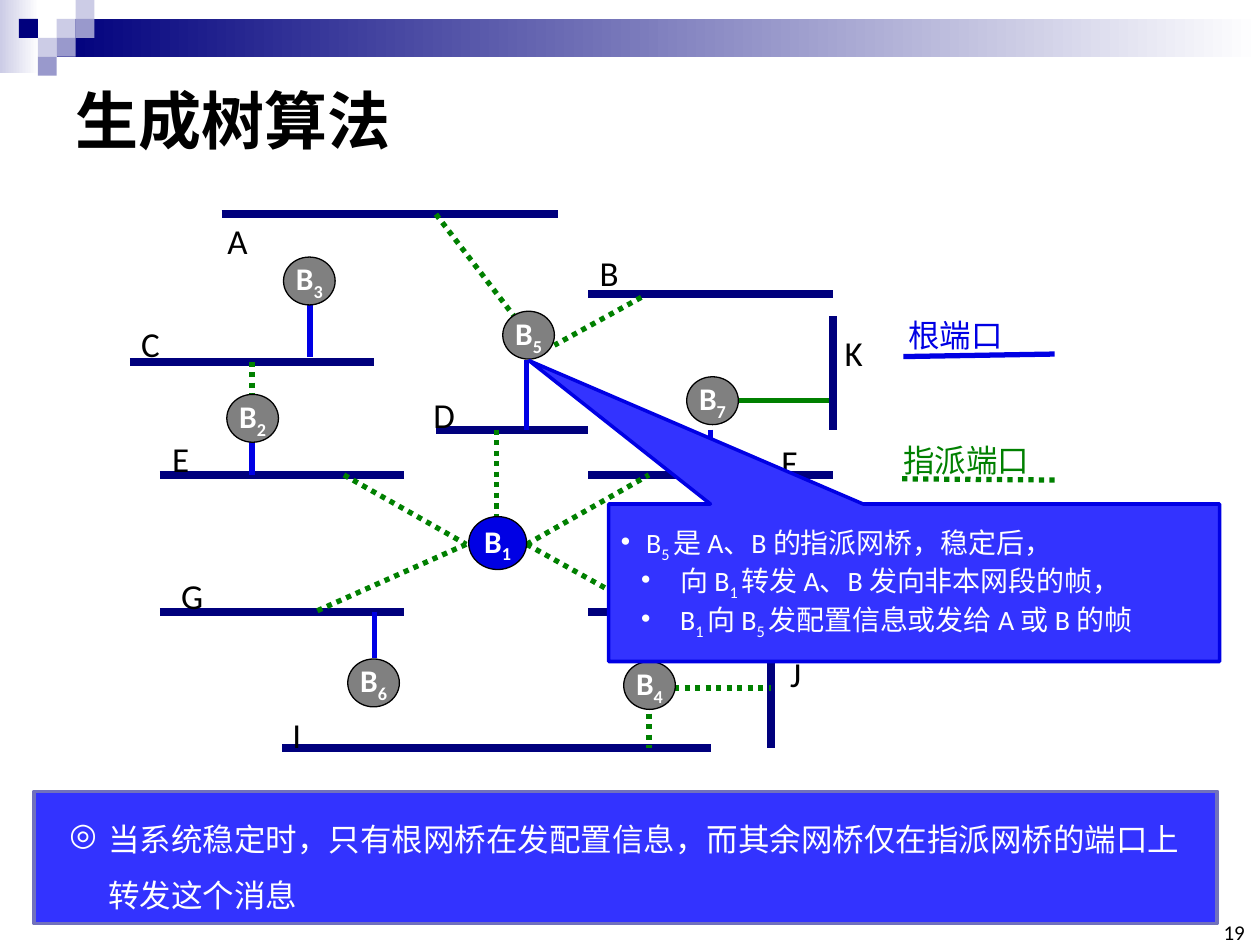
import dataclasses

import lxml.etree
import pptx
import pptx.dml.color
import pptx.enum.dml
import pptx.enum.shapes
import pptx.enum.text
import pptx.oxml.ns
import pptx.util

Inches = pptx.util.Inches
Pt = pptx.util.Pt
qn = pptx.oxml.ns.qn
Shape = pptx.enum.shapes.MSO_SHAPE
Align = pptx.enum.text.PP_ALIGN
Anchor = pptx.enum.text.MSO_ANCHOR
DOTTED = pptx.enum.dml.MSO_LINE.ROUND_DOT


@dataclasses.dataclass(frozen=True)
class Theme:
    latin: str = "Calibri"
    chinese: str = "Noto Sans CJK SC"
    black: str = "000000"
    white: str = "FFFFFF"
    navy: str = "00007D"
    lavender: str = "CCCCE6"
    violet: str = "9999CC"
    root: str = "0000E4"
    designated: str = "008000"
    bridge: str = "808080"
    panel: str = "3333FF"
    panel_edge: str = "7171BD"
    title_size: int = 36
    label_size: int = 20
    body_size: int = 18
    callout_size: int = 16
    number_size: int = 12


def rgb(color):
    return pptx.dml.color.RGBColor.from_string(color)


def apply(target, values):
    for name, value in values.items():
        setattr(target, name, value)


class SlideBuilder:
    def __init__(self, slide, theme):
        self.slide = slide
        self.theme = theme

    def shape(self, kind, box, fill, line=None, width=1):
        """Fill is one colour, or a pair of colours for a left-to-right gradient."""
        shape = self.slide.shapes.add_shape(kind, *map(Inches, box))
        shape.shadow.inherit = False
        if isinstance(fill, tuple):
            shape.fill.gradient()
            shape.fill.gradient_angle = 0
            for stop, color in zip(shape.fill.gradient_stops, fill):
                stop.color.rgb = rgb(color)
        else:
            shape.fill.solid()
            shape.fill.fore_color.rgb = rgb(fill)
        if line:
            shape.line.color.rgb = rgb(line)
            shape.line.width = Pt(width)
        else:
            shape.line.fill.background()
        return shape

    def line(self, start, end, color, width=3, dash=None):
        connector = self.slide.shapes.add_connector(
            pptx.enum.shapes.MSO_CONNECTOR.STRAIGHT, *map(Inches, start + end))
        connector.line.color.rgb = rgb(color)
        apply(connector.line, {"width": Pt(width), "dash_style": dash})
        lxml.etree.SubElement(connector._element.spPr, qn("a:effectLst"))

    def frame(self, shape, anchor=Anchor.MIDDLE, insets=(0.1, 0.05, 0.1, 0.05), wrap=True):
        sides = ("margin_left", "margin_top", "margin_right", "margin_bottom")
        apply(shape.text_frame, {"word_wrap": wrap, "vertical_anchor": anchor,
                                 **dict(zip(sides, map(Inches, insets)))})
        return shape.text_frame

    def add_words(self, paragraph, text, size, color, bold=False, **formats):
        """Fill a paragraph with text whose parts between underscores are subscripts."""
        apply(paragraph, {"alignment": Align.LEFT, **formats})
        for index, part in enumerate(text.split("_")):
            if not part:
                continue
            run = paragraph.add_run()
            run.text = part
            apply(run.font, {"name": self.theme.latin, "size": Pt(size), "bold": bold})
            run.font.color.rgb = rgb(color)
            properties = run._r.get_or_add_rPr()
            lxml.etree.SubElement(properties, qn("a:ea"), typeface=self.theme.chinese)
            if index % 2:
                properties.set("baseline", "-25000")

    def bullet(self, paragraph, mark, left, hanging):
        properties = paragraph._p.get_or_add_pPr()
        properties.set("marL", str(Inches(left)))
        properties.set("indent", str(-Inches(hanging)))
        lxml.etree.SubElement(properties, qn("a:buChar"), char=mark)

    def text(self, box, text, size, color, anchor=Anchor.TOP, insets=(0.1, 0.05, 0.1, 0.05),
             **formats):
        text_box = self.slide.shapes.add_textbox(*map(Inches, box))
        frame = self.frame(text_box, anchor, insets)
        self.add_words(frame.paragraphs[0], text, size, color, **formats)

    def bridge(self, number, left, top, width=0.41, height=0.38, fill=None):
        theme = self.theme
        oval = self.shape(Shape.OVAL, (left, top, width, height), fill or theme.bridge,
                          theme.black, 0.75)
        frame = self.frame(oval, insets=(0, 0, 0, 0), wrap=False)
        self.add_words(frame.paragraphs[0], f"B_{number}_", theme.body_size, theme.white,
                       bold=True, alignment=Align.CENTER)


def draw_header(builder):
    theme = builder.theme
    builder.shape(Shape.RECTANGLE, (0, 0, 0.31, 0.58), (theme.lavender, theme.white))
    builder.shape(Shape.RECTANGLE, (0.45, 0.15, 9.55, 0.3), (theme.navy, theme.white))
    tile = 0.15
    for column, row, color in [(3, 1, theme.lavender), (4, 0, theme.lavender),
                               (4, 1, theme.violet), (2, 2, theme.lavender),
                               (1, 1, theme.navy), (3, 2, theme.violet),
                               (2, 3, theme.violet)]:
        builder.shape(Shape.RECTANGLE, (column * tile, row * tile, tile, tile), color)
    builder.text((0.5, 0.5, 9, 0.89), "生成树算法", theme.title_size, theme.black,
                 anchor=Anchor.MIDDLE, bold=True)
    builder.text((9.65, 7.33, 0.23, 0.17), "19", theme.number_size, theme.black,
                 anchor=Anchor.BOTTOM, insets=(0, 0, 0, 0), alignment=Align.RIGHT)


def draw_network(builder):
    theme = builder.theme
    horizontal = [(1.76, 4.43, 1.7), (4.67, 6.61, 2.33), (1.03, 2.97, 2.87),
                  (3.46, 4.67, 3.41), (4.67, 6.61, 3.77), (1.27, 3.21, 3.77),
                  (1.27, 3.21, 4.86), (4.67, 6.61, 4.86), (2.24, 5.64, 5.94)]
    for left, right, y in horizontal:
        builder.line((left, y), (right, y), theme.navy, 4.5)
    for x, top, bottom in [(6.61, 2.51, 3.41), (6.12, 5.04, 5.94)]:
        builder.line((x, top), (x, bottom), theme.navy, 4.5)

    root_ports = [(2.46, 2.39, 2.83), (4.18, 2.86, 3.41), (2, 3.41, 3.77),
                  (5.64, 3.41, 3.77), (2.97, 4.86, 5.22), (5.15, 4.86, 5.22)]
    for x, top, bottom in root_ports:
        builder.line((x, top), (x, bottom), theme.root)
    designated_ports = [((3.46, 1.7), (4.08, 2.51)), ((5.09, 2.36), (4.4, 2.74)),
                        ((2, 2.87), (2, 3.18)), ((3.94, 3.41), (3.94, 4.13)),
                        ((2.73, 3.77), (3.7, 4.32)), ((4.18, 4.32), (5.15, 3.77)),
                        ((3.7, 4.32), (2.49, 4.86)), ((4.18, 4.32), (5.15, 4.86)),
                        ((5.15, 5.58), (5.15, 5.94)), ((5.35, 5.46), (6.12, 5.46))]
    for start, end in designated_ports:
        builder.line(start, end, theme.designated, dash=DOTTED)
    builder.line((5.86, 3.18), (6.58, 3.18), theme.designated)

    segment_labels = {"A": (1.65, 1.69), "B": (4.6, 1.95), "C": (0.96, 2.51),
                      "D": (3.29, 3.07), "E": (1.2, 3.42), "F": (6.03, 3.45),
                      "G": (1.29, 4.51), "H": (5.25, 4.51), "I": (2.12, 5.61),
                      "J": (6.08, 5.13), "K": (6.54, 2.58)}
    for name, (left, top) in segment_labels.items():
        builder.text((left, top, 0.47, 0.36), name, theme.label_size, theme.black,
                     alignment=Align.CENTER)

    bridges = {2: (1.8, 3.13), 3: (2.25, 2.04), 4: (4.95, 5.25),
               5: (3.99, 2.47), 6: (2.76, 5.23), 7: (5.45, 2.99)}
    for number, (left, top) in bridges.items():
        builder.bridge(number, left, top)
    builder.bridge(1, 3.72, 4.1, 0.46, 0.42, theme.root)


def draw_legend(builder):
    theme = builder.theme
    builder.text((7.11, 2.46, 1.14, 0.4), "根端口", theme.body_size, theme.root)
    builder.line((8.37, 2.81), (7.17, 2.83), theme.root)
    builder.text((7.07, 3.45, 1.42, 0.4), "指派端口", theme.body_size, theme.designated)
    builder.line((7.16, 3.8), (8.37, 3.81), theme.designated, dash=DOTTED)


def draw_notes(builder):
    theme = builder.theme
    summary = builder.shape(Shape.RECTANGLE, (0.27, 6.28, 9.39, 1.05), theme.panel,
                            theme.panel_edge, 2)
    paragraph = builder.frame(summary, insets=(0.28, 0.05, 0.2, 0.05)).paragraphs[0]
    builder.add_words(
        paragraph, "当系统稳定时，只有根网桥在发配置信息，而其余网桥仅在指派网桥的端口上转发这个消息",
        theme.body_size, theme.white, line_spacing=1.5)
    builder.bullet(paragraph, "◎", 0.31, 0.31)

    callout = builder.shape(Shape.RECTANGULAR_CALLOUT, (4.83, 4, 4.85, 1.25), theme.panel,
                            theme.root, 2)
    for index, value in enumerate((-0.63, -1.41)):
        callout.adjustments[index] = value
    frame = builder.frame(callout)
    lines = [(0, 0.2, 0.2, "B_5 _是 A、B 的指派网桥，稳定后，"),
             (1, 0.47, 0.31, "向 B_1 _转发 A、B 发向非本网段的帧，"),
             (1, 0.47, 0.31, "B_1 _向 B_5 _发配置信息或发给 A 或 B 的帧")]
    for index, (level, left, hanging, text) in enumerate(lines):
        paragraph = frame.add_paragraph() if index else frame.paragraphs[0]
        builder.add_words(paragraph, text, theme.callout_size, theme.white, level=level,
                          line_spacing=Pt(22))
        builder.bullet(paragraph, "•", left, hanging)


def main():
    presentation = pptx.Presentation()
    apply(presentation, {"slide_width": Inches(10), "slide_height": Inches(7.5)})
    slide = presentation.slides.add_slide(presentation.slide_layouts[6])
    builder = SlideBuilder(slide, Theme())
    for draw in (draw_header, draw_network, draw_legend, draw_notes):
        draw(builder)
    presentation.save("out.pptx")


if __name__ == "__main__":
    main()
